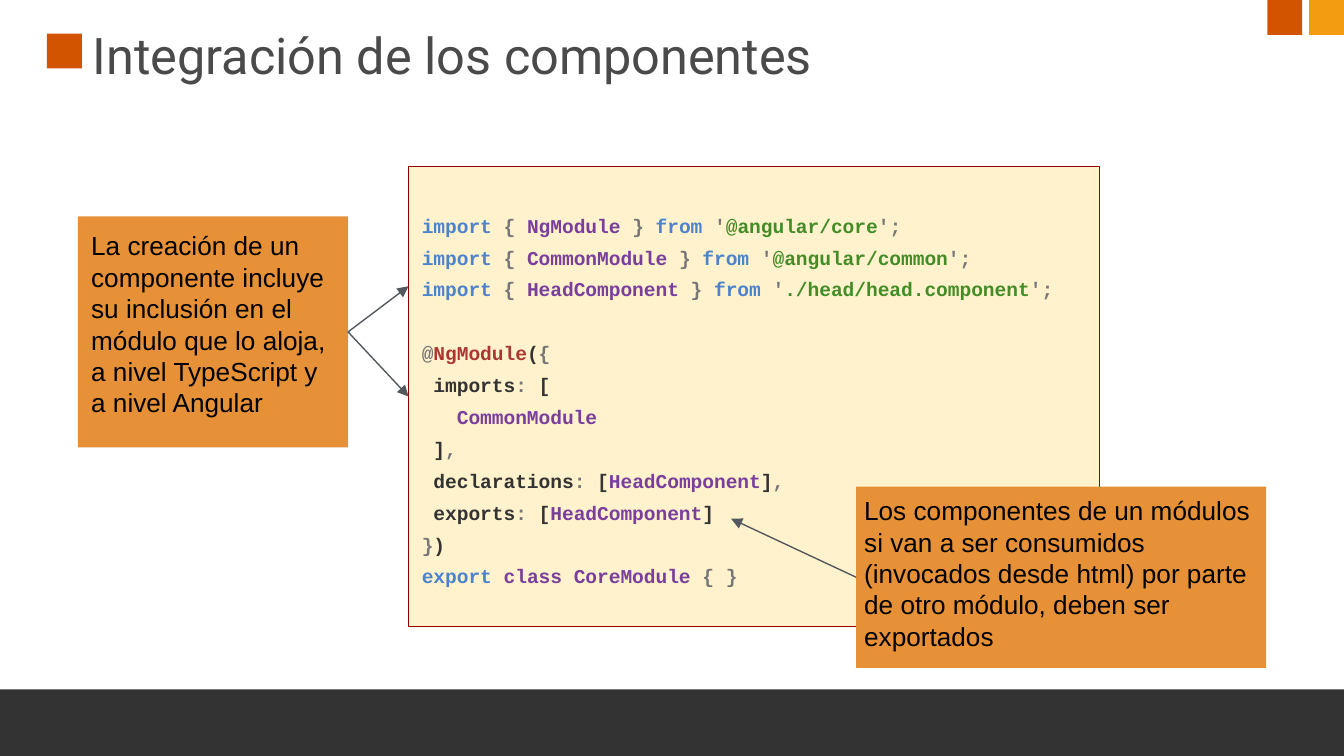
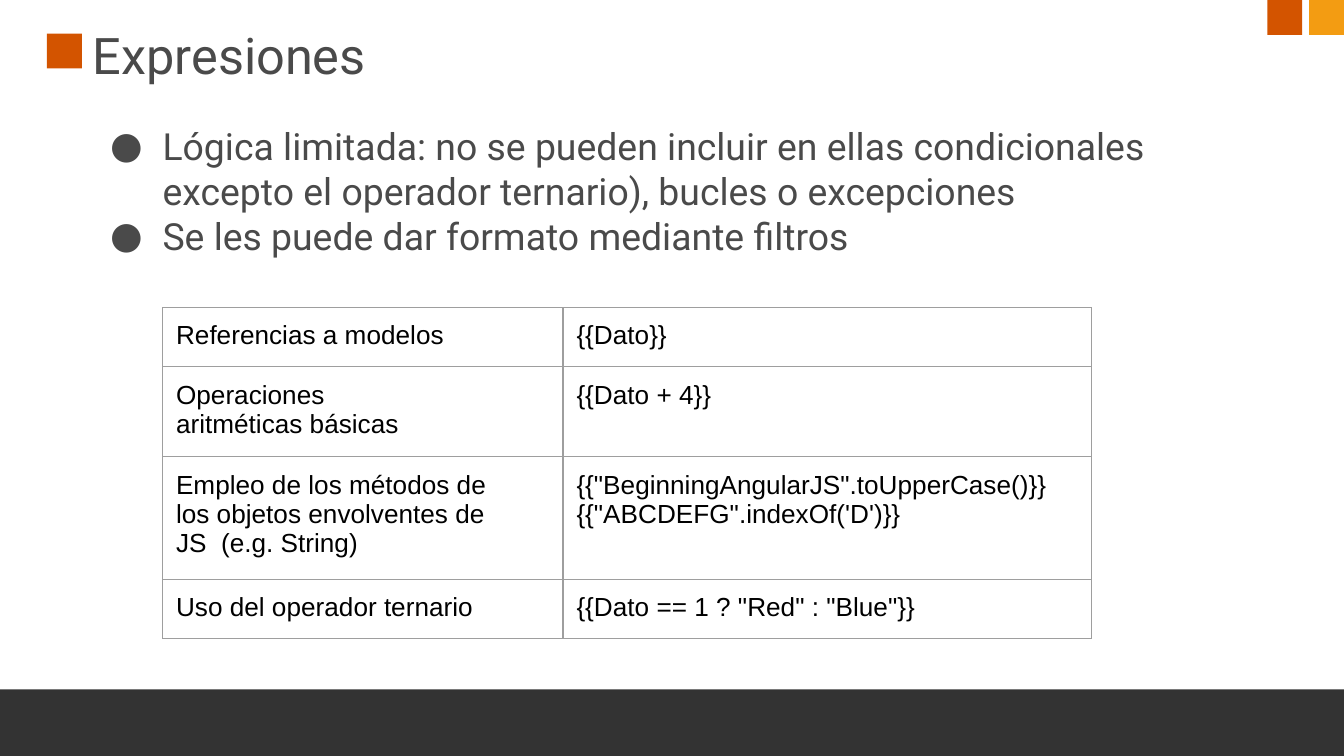
import dataclasses

import lxml.etree
import pptx
import pptx.dml.color
import pptx.enum.shapes
import pptx.enum.text
import pptx.oxml
import pptx.oxml.ns
import pptx.util

Inches = pptx.util.Inches
Pt = pptx.util.Pt
qn = pptx.oxml.ns.qn
ANCHOR = pptx.enum.text.MSO_ANCHOR


@dataclasses.dataclass(frozen=True)
class Theme:
    # Colours
    orange: str = "D35400"
    amber: str = "F39C12"
    footer: str = "333333"
    heading: str = "4A4A4A"
    callout: str = "E69138"
    code_fill: str = "FFF2CC"
    code_line: str = "980000"
    arrow: str = "53585F"
    grid: str = "9E9E9E"
    black: str = "000000"
    keyword: str = "4B83CD"
    mark: str = "777777"
    name: str = "7A3E9D"
    string: str = "448C27"
    decorator: str = "AA3731"
    plain: str = "333333"
    # Fonts and sizes
    title_font: str = "Roboto"
    text_font: str = "Arial"
    code_font: str = "Courier New"
    title_size: float = 27
    bullet_size: float = 20
    text_size: float = 14
    code_size: float = 10.5
    thin: float = 0.75


THEME = Theme()


def rgb(color):
    return pptx.dml.color.RGBColor.from_string(color)


def add_bullet(paragraph, color, font):
    properties = paragraph._p.get_or_add_pPr()
    properties.set("marL", str(Inches(0.5)))
    properties.set("indent", str(Inches(-0.39)))
    bullet_color = lxml.etree.SubElement(properties, qn("a:buClr"))
    lxml.etree.SubElement(bullet_color, qn("a:srgbClr"), val=color)
    lxml.etree.SubElement(properties, qn("a:buFont"), typeface=font)
    lxml.etree.SubElement(properties, qn("a:buChar"), char="●")


def write(frame, paragraphs, *, font=THEME.text_font, size=THEME.text_size,
          color=THEME.black, bold=False, inset=0.1, anchor=ANCHOR.TOP,
          spacing=None, bullets=False, gaps=None):
    """Each paragraph is a string or a list of (text, colour) pieces."""
    frame.word_wrap = True
    frame.auto_size = pptx.enum.text.MSO_AUTO_SIZE.NONE
    frame.vertical_anchor = anchor
    frame.margin_left = frame.margin_right = Inches(inset)
    frame.margin_top = frame.margin_bottom = Inches(inset)
    for index, content in enumerate(paragraphs):
        paragraph = frame.add_paragraph() if index else frame.paragraphs[0]
        if bullets:
            add_bullet(paragraph, color, font)
        paragraph.alignment = pptx.enum.text.PP_ALIGN.LEFT
        if spacing:
            paragraph.line_spacing = spacing
        if gaps and index in gaps:
            paragraph.space_before = Pt(gaps[index])
        pieces = [(content, color)] if isinstance(content, str) else content
        for text, piece_color in pieces:
            for number, line in enumerate(text.split("\n")):
                if number:
                    paragraph.add_line_break()
                run = paragraph.add_run()
                run.text = line
                run.font.name = font
                run.font.size = Pt(size)
                run.font.bold = bold
                run.font.color.rgb = rgb(piece_color)


def add_box(slide, left, top, width, height, fill, line=None):
    box = slide.shapes.add_shape(
        pptx.enum.shapes.MSO_SHAPE.RECTANGLE,
        Inches(left), Inches(top), Inches(width), Inches(height))
    box.shadow.inherit = False
    box.fill.solid()
    box.fill.fore_color.rgb = rgb(fill)
    if line:
        box.line.color.rgb = rgb(line)
        box.line.width = Pt(THEME.thin)
    else:
        box.line.fill.background()
    return box


def add_callout(slide, left, top, width, height, text, inset):
    callout = add_box(slide, left, top, width, height, THEME.callout)
    write(callout.text_frame, [text], inset=inset)
    return callout


def add_arrow(slide, source, side, tip, target=None):
    """Arrow from the middle of a side to a tip, or to the target's left side."""
    arrow = slide.shapes.add_connector(
        pptx.enum.shapes.MSO_CONNECTOR.STRAIGHT, 0, 0,
        Inches(tip[0]), Inches(tip[1]))
    arrow.begin_connect(source, side)
    if target is not None:
        arrow.end_connect(target, 1)
    arrow.line.color.rgb = rgb(THEME.arrow)
    arrow.line.width = Pt(THEME.thin)
    lxml.etree.SubElement(arrow.line._get_or_add_ln(), qn("a:tailEnd"),
                          type="triangle")
    lxml.etree.SubElement(arrow._element.spPr, qn("a:effectLst"))


def add_cell_borders(cell):
    properties = cell._tc.get_or_add_tcPr()
    for position, side in enumerate(("lnL", "lnR", "lnT", "lnB")):
        border = lxml.etree.Element(qn("a:" + side), w=str(Pt(THEME.thin)))
        fill = lxml.etree.SubElement(border, qn("a:solidFill"))
        lxml.etree.SubElement(fill, qn("a:srgbClr"), val=THEME.grid)
        properties.insert(position, border)


def add_grid(slide, left, top, widths, heights, rows):
    table = slide.shapes.add_table(
        len(rows), len(widths), Inches(left), Inches(top),
        Inches(sum(widths)), Inches(sum(heights))).table
    table.first_row = table.horz_banding = False
    for column, width in zip(table.columns, widths):
        column.width = Inches(width)
    for row, height, texts in zip(table.rows, heights, rows):
        row.height = Inches(height)
        for cell, text in zip(row.cells, texts):
            cell.fill.background()
            add_cell_borders(cell)
            cell.margin_left = cell.margin_right = Inches(0.1)
            cell.margin_top = cell.margin_bottom = Inches(0.1)
            write(cell.text_frame, [text])


def add_titled_slide(deck, title):
    slide = deck.slides.add_slide(deck.slide_layouts[5])
    # Title marker, footer band and corner squares
    square = 0.26
    add_box(slide, 0.35, 0.25, square, square, THEME.orange)
    add_box(slide, -0.03, 5.13, 10.05, 0.51, THEME.footer)
    add_box(slide, 9.43, 0, square, square, THEME.orange)
    add_box(slide, 9.74, 0, square, square, THEME.amber)

    heading = slide.shapes.title
    heading.left, heading.top = Inches(0.63), Inches(0.12)
    heading.width, heading.height = Inches(8.57), Inches(0.59)
    write(heading.text_frame, [title], font=THEME.title_font,
          size=THEME.title_size, color=THEME.heading, inset=0.06)
    return slide


def import_line(name, source):
    return [("import ", THEME.keyword), ("{ ", THEME.mark),
            (name + " ", THEME.name), ("} ", THEME.mark),
            ("from ", THEME.keyword), ("'", THEME.mark),
            (source, THEME.string), ("';", THEME.mark)]


def property_line(name, *value):
    return [(" " + name, THEME.plain), (":", THEME.mark),
            (" [", THEME.plain), *value]


def build_integration(deck):
    slide = add_titled_slide(deck, "Integración de los componentes")

    # Module source code
    head = ("HeadComponent", THEME.name)
    close = ("]", THEME.plain)
    comma = (",", THEME.mark)
    module_code = [
        import_line("NgModule", "@angular/core"),
        import_line("CommonModule", "@angular/common"),
        import_line("HeadComponent", "./head/head.component"),
        [("@", THEME.mark), ("NgModule", THEME.decorator),
         ("(", THEME.plain), ("{", THEME.mark)],
        property_line("imports"),
        [("   CommonModule", THEME.name)],
        [(" ]", THEME.plain), comma],
        property_line("declarations", head, close, comma),
        property_line("exports", head, close),
        [("}", THEME.mark), (")", THEME.plain)],
        [("export ", THEME.keyword), ("class CoreModule ", THEME.name),
         ("{ }", THEME.mark)],
    ]
    code = add_box(slide, 3.04, 1.24, 5.14, 3.42, THEME.code_fill,
                   THEME.code_line)
    write(code.text_frame, module_code, font=THEME.code_font,
          size=THEME.code_size, bold=True, anchor=ANCHOR.MIDDLE,
          spacing=1.36, gaps={3: 17})

    # Explanations and their arrows
    creation = add_callout(
        slide, 0.58, 1.61, 2.01, 1.72,
        "La creación de un componente incluye su inclusión en el módulo "
        "que lo aloja, a nivel TypeScript y a nivel Angular", 0.1)
    add_arrow(slide, creation, 3, (3.04, 2.13))
    add_arrow(slide, creation, 3, (3.04, 2.95), code)
    exporting = add_callout(
        slide, 6.37, 3.62, 3.05, 1.35,
        "Los componentes de un módulos si van a ser consumidos (invocados "
        "desde html) por parte de otro módulo, deben ser exportados", 0.06)
    add_arrow(slide, exporting, 1, (5.44, 3.86))


def build_expressions(deck):
    slide = add_titled_slide(deck, "Expresiones")

    # Rules
    rules = slide.shapes.add_textbox(Inches(0.65), Inches(0.86),
                                     Inches(8.57), Inches(1.21))
    write(rules.text_frame, [
        "Lógica limitada: no se pueden incluir en ellas condicionales "
        "excepto el operador ternario), bucles o excepciones",
        "Se les puede dar formato mediante filtros",
    ], font=THEME.title_font, size=THEME.bullet_size, color=THEME.heading,
        inset=0.06, bullets=True)

    # Kinds of expression with examples
    add_grid(slide, 1.21, 2.29, (2.98, 3.93), (0.44, 0.67, 0.91, 0.44), [
        ("Referencias a modelos", "{{Dato}}"),
        ("Operaciones\naritméticas básicas", "{{Dato + 4}}"),
        ("Empleo de los métodos de\nlos objetos envolventes de\n"
         "JS  (e.g. String)",
         "{{\"BeginningAngularJS\".toUpperCase()}}\n"
         "{{\"ABCDEFG\".indexOf('D')}}"),
        ("Uso del operador ternario", "{{Dato == 1 ? \"Red\" : \"Blue\"}}"),
    ])


def main():
    deck = pptx.Presentation()
    # Widescreen, 16:9
    deck.slide_width = Inches(10)
    deck.slide_height = deck.slide_width * 9 // 16
    build_integration(deck)
    build_expressions(deck)
    deck.save("out.pptx")


if __name__ == "__main__":
    main()
